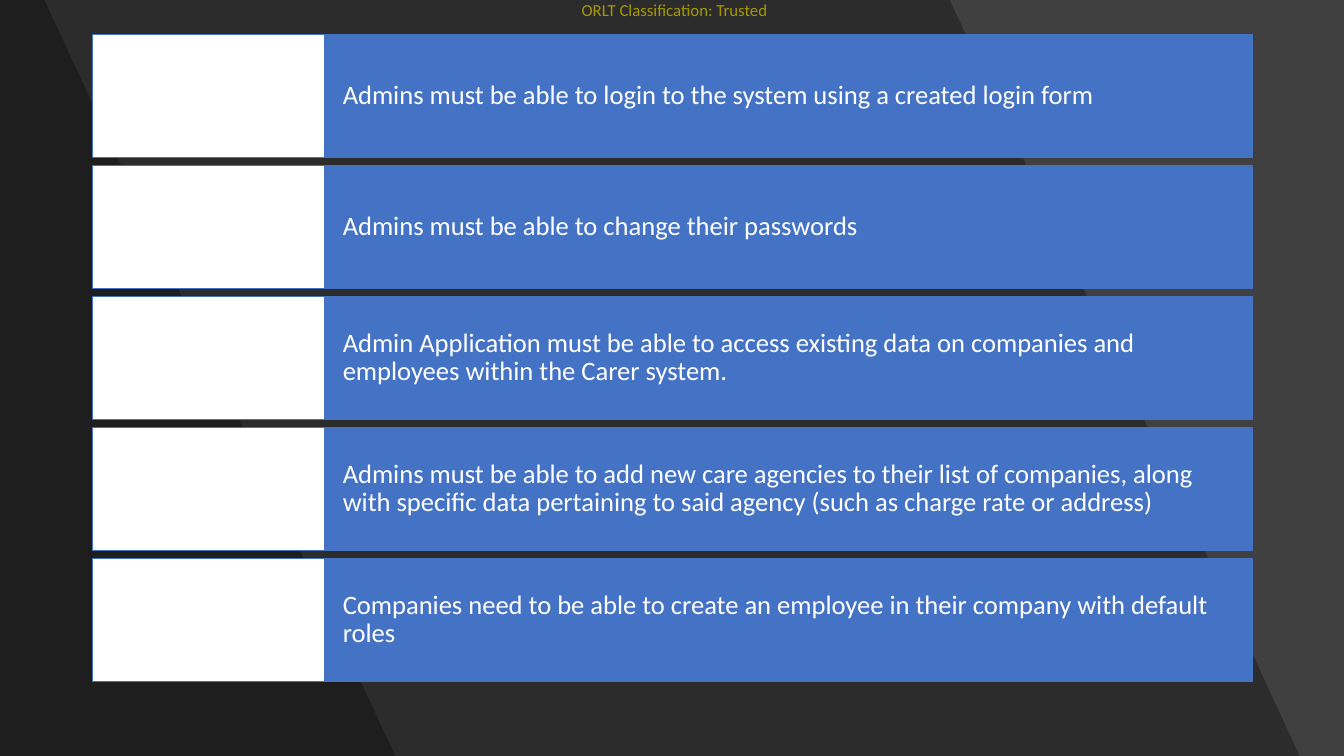
import pptx
import pptx.util
import pptx.dml.color
import pptx.enum.shapes
import pptx.enum.text
import pptx.oxml.ns
import lxml.etree

Inches = pptx.util.Inches
Pt = pptx.util.Pt
Anchor = pptx.enum.text.MSO_ANCHOR
Align = pptx.enum.text.PP_ALIGN
Fit = pptx.enum.text.MSO_AUTO_SIZE

WIDE, HIGH = 13.33, 7.5
COLORS = {"back": "404040", "shade": "000000", "blue": "4472C4",
          "white": "FFFFFF", "label": "EEDC00"}
NEEDS = [
    "Admins must be able to login to the system using a created login form",
    "Admins must be able to change their passwords",
    "Admin Application must be able to access existing data on companies and "
    "employees within the Carer system.",
    "Admins must be able to add new care agencies to their list of companies, "
    "along with specific data pertaining to said agency "
    "(such as charge rate or address)",
    "Companies need to be able to create an employee in their company with "
    "default roles",
]


def apply(target, values):
    for name, value in values.items():
        setattr(target, name, value)


def margins(side, top):
    return {"margin_left": Inches(side), "margin_right": Inches(side),
            "margin_top": Inches(top), "margin_bottom": Inches(top)}


class Painter:
    font = "Calibri"

    def __init__(self, slide):
        self.slide = slide
        self.shapes = slide.shapes

    def color(self, name):
        return pptx.dml.color.RGBColor.from_string(COLORS[name])

    def paint(self, fill, name):
        fill.solid()
        fill.fore_color.rgb = self.color(name)

    def ground(self, name):
        self.paint(self.slide.background.fill, name)

    def shade(self, points, alpha):
        build = self.shapes.build_freeform(
            Inches(points[0][0]), Inches(points[0][1]))
        build.add_line_segments(
            [(Inches(x), Inches(y)) for x, y in points[1:]], close=True)
        shape = build.convert_to_shape()
        shape.shadow.inherit = False
        self.paint(shape.fill, "shade")
        shape.line.fill.background()
        tint = shape.element.spPr.find(
            pptx.oxml.ns.qn("a:solidFill")).find(pptx.oxml.ns.qn("a:srgbClr"))
        lxml.etree.SubElement(
            tint, pptx.oxml.ns.qn("a:alpha"), val=str(alpha * 1000))

    def box(self, left, top, width, height, fill):
        shape = self.shapes.add_shape(
            pptx.enum.shapes.MSO_SHAPE.RECTANGLE,
            Inches(left), Inches(top), Inches(width), Inches(height))
        shape.shadow.inherit = False
        self.paint(shape.fill, fill)
        self.paint(shape.line.fill, "blue")
        shape.line.width = Pt(1)
        return shape

    def words(self, shape, text, size, color, frame, para):
        apply(shape.text_frame, frame)
        line = shape.text_frame.paragraphs[0]
        apply(line, para)
        run = line.add_run()
        run.text = text
        apply(run.font, {"name": self.font, "size": Pt(size)})
        run.font.color.rgb = self.color(color)

    def label(self, text, left, top, width, height):
        shape = self.shapes.add_textbox(
            Inches(left), Inches(top), Inches(width), Inches(height))
        self.words(shape, text, 12, "label",
                   {"word_wrap": False, "auto_size": Fit.SHAPE_TO_FIT_TEXT,
                    **margins(0, 0)},
                   {"alignment": Align.CENTER})

    def need(self, text, top):
        left, icon, width, height = 0.92, 2.3, 9.2, 1.22
        bar = self.box(left + icon, top, width, height, "blue")
        self.words(bar, text, 19, "white",
                   {"word_wrap": True, "vertical_anchor": Anchor.MIDDLE,
                    **margins(0.18, 0.31)},
                   {"alignment": Align.LEFT, "line_spacing": 0.9})
        self.box(left, top, icon, height, "white")


def main():
    deck = pptx.Presentation()
    apply(deck, {"slide_width": Inches(WIDE), "slide_height": Inches(HIGH)})
    painter = Painter(deck.slides.add_slide(deck.slide_layouts[6]))
    painter.ground("back")
    painter.label("ORLT Classification: Trusted", 5.73, 0, 1.92, 0.2)
    for top, base in ((9.42, 12.89), (0.44, 3.92)):
        painter.shade([(0, 0), (top, 0), (base, HIGH), (0, HIGH)], 30)
    for row, text in enumerate(NEEDS):
        painter.need(text, 0.34 + row * 1.3)
    deck.save("out.pptx")


if __name__ == "__main__":
    main()
